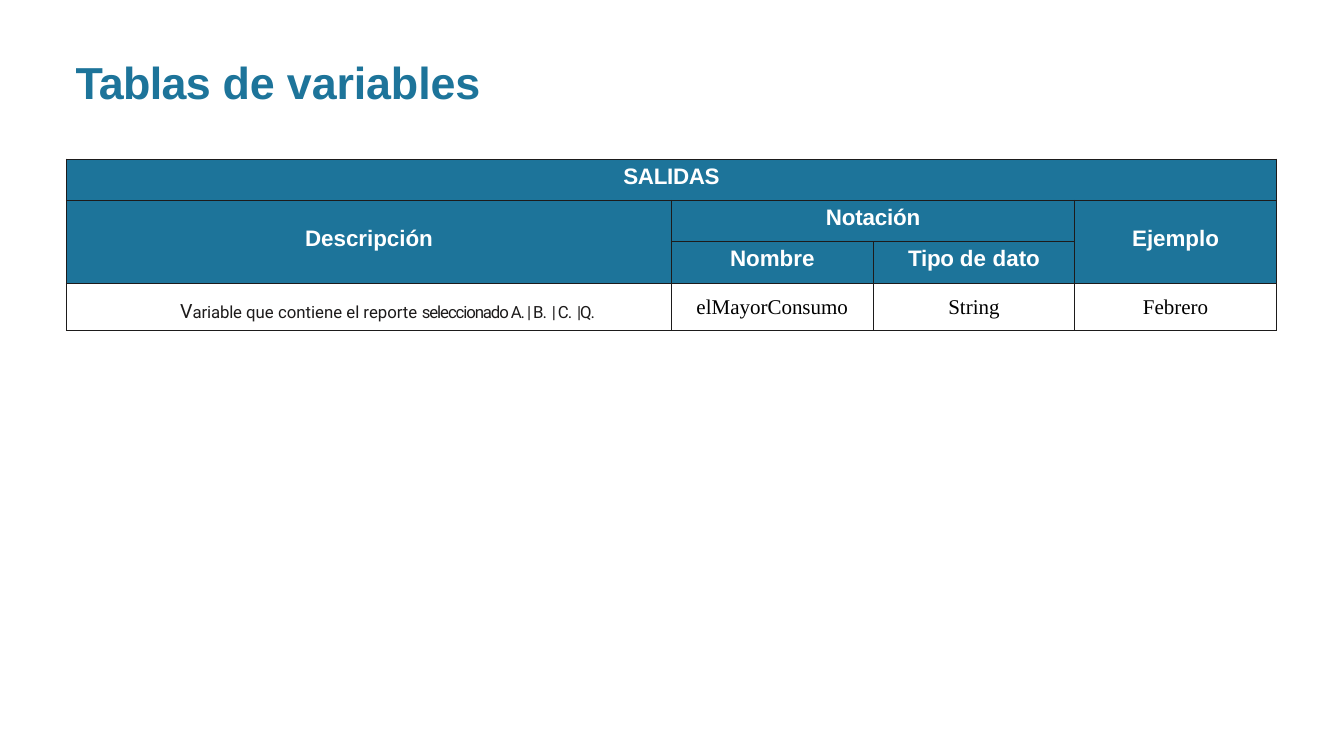
from dataclasses import dataclass

from lxml import etree
from pptx import Presentation
from pptx import util as u
from pptx.dml.color import RGBColor
from pptx.enum import text
from pptx.oxml import ns


@dataclass(frozen=True)
class Theme:
    """Colours, fonts and type sizes of the deck."""
    teal: str = "1D749A"
    ink: str = "1D1B1B"
    white: str = "FFFFFF"
    black: str = "000000"
    heading_font: str = "Arial"
    note_font: str = "Roboto"
    value_font: str = "Times New Roman"
    title_size: int = 32
    header_size: int = 16
    value_size: int = 15
    initial_size: int = 14
    note_size: int = 12


class SlideBuilder:
    """Draws titles and tables on a grid of columns and rows."""
    left, top, column, row = 0.66, 1.58, 1.0, 0.41

    def __init__(self, page, theme):
        self.page, self.theme = page, theme

    def paragraph(self, frame, spans, font, size, color, bold=False, align=None):
        """Fill one paragraph from (text, spacing, size) spans."""
        para = frame.paragraphs[0]
        para.alignment = align
        para.font.name, para.font.size, para.font.bold = font, u.Pt(size), bold
        para.font.color.rgb = RGBColor.from_string(color)
        for words, spacing, span_size in spans:
            span = para.add_run()
            span.text = words
            span._r.get_or_add_rPr().set("spc", str(round(spacing * 100)))
            if span_size:
                span.font.size = u.Pt(span_size)

    def title(self, spans):
        """Place the slide title above the grid."""
        box = self.page.shapes.add_textbox(
            u.Inches(0.75), u.Inches(0.54), u.Inches(6), u.Inches(0.56))
        frame = box.text_frame
        frame.word_wrap = True
        frame.margin_left = frame.margin_top = frame.margin_right = frame.margin_bottom = 0
        self.paragraph(frame, spans, self.theme.heading_font, self.theme.title_size,
                       self.theme.teal, bold=True)

    def table(self, columns, rows):
        """Add a plain bordered table sized in grid units."""
        table = self.page.shapes.add_table(
            len(rows), len(columns), u.Inches(self.left), u.Inches(self.top),
            u.Inches(sum(columns) * self.column), u.Inches(sum(rows) * self.row)).table
        table.first_row = table.horz_banding = False
        for item, units in zip(table.columns, columns):
            item.width = u.Inches(units * self.column)
        for item, units in zip(table.rows, rows):
            item.height = u.Inches(units * self.row)
        for cell in table.iter_cells():
            self.border(cell)
            cell.fill.background()
            cell.vertical_anchor = text.MSO_ANCHOR.MIDDLE
            cell.margin_left = cell.margin_right = cell.margin_top = cell.margin_bottom = 0
        return table

    def border(self, cell):
        """Draw a thin line on each side of a cell."""
        props = cell._tc.get_or_add_tcPr()
        for side in ("a:lnL", "a:lnR", "a:lnT", "a:lnB"):
            line = etree.SubElement(props, ns.qn(side), w=str(u.Pt(1)))
            fill = etree.SubElement(line, ns.qn("a:solidFill"))
            etree.SubElement(fill, ns.qn("a:srgbClr"), val=self.theme.ink)

    def header(self, table, row, column, height, width, spans):
        """Fill a header cell that spans the given rows and columns."""
        cell = table.cell(row, column)
        if height * width > 1:
            cell.merge(table.cell(row + height - 1, column + width - 1))
        cell.fill.solid()
        cell.fill.fore_color.rgb = RGBColor.from_string(self.theme.teal)
        cell.margin_bottom = u.Inches(0.07)
        self.paragraph(cell.text_frame, spans, self.theme.heading_font,
                       self.theme.header_size, self.theme.white, bold=True,
                       align=text.PP_ALIGN.CENTER)

    def note(self, cell, spans):
        """Fill in the description of a variable."""
        cell.margin_left, cell.margin_top = u.Inches(0.37), u.Inches(0.09)
        self.paragraph(cell.text_frame, spans, self.theme.note_font, self.theme.note_size,
                       self.theme.ink, align=text.PP_ALIGN.CENTER)

    def value(self, cell, words):
        """Fill in a centred value."""
        self.paragraph(cell.text_frame, [(words, 0, None)], self.theme.value_font,
                       self.theme.value_size, self.theme.black, align=text.PP_ALIGN.CENTER)


HEADERS = [
    (0, 0, 1, 4, [("SALIDAS", -0.2, None)]),
    (1, 0, 2, 1, [("Descripción", 0, None)]),
    (1, 1, 1, 2, [("Notación", -0.1, None)]),
    (1, 3, 2, 1, [("Ejemplo", 0, None)]),
    (2, 1, 1, 1, [("Nombre", 0, None)]),
    (2, 2, 1, 1, [("Tipo ", -0.2, None), ("de ", 0.1, None), ("dato", 0, None)]),
]
VALUES = ["elMayorConsumo", "String", "Febrero"]

deck = Presentation()
deck.slide_width, deck.slide_height = u.Inches(13.33), u.Inches(7.5)
theme = Theme()
builder = SlideBuilder(deck.slides.add_slide(deck.slide_layouts[6]), theme)

builder.title([("Tablas ", -0.5, None), ("de variables", -0.1, None)])
outputs = builder.table(columns=[6, 2, 2, 2], rows=[1, 1, 1, 1.15])
for header in HEADERS:
    builder.header(outputs, *header)
builder.note(outputs.cell(3, 0), [
    ("V", -0.1, theme.initial_size),
    ("ariable ", -0.1, None),
    ("que contiene el reporte ", 0, None),
    ("seleccionado A. | B.  | C.  |Q.", -0.8, None),
])
for column, words in enumerate(VALUES, start=1):
    builder.value(outputs.cell(3, column), words)

deck.save("out.pptx")
